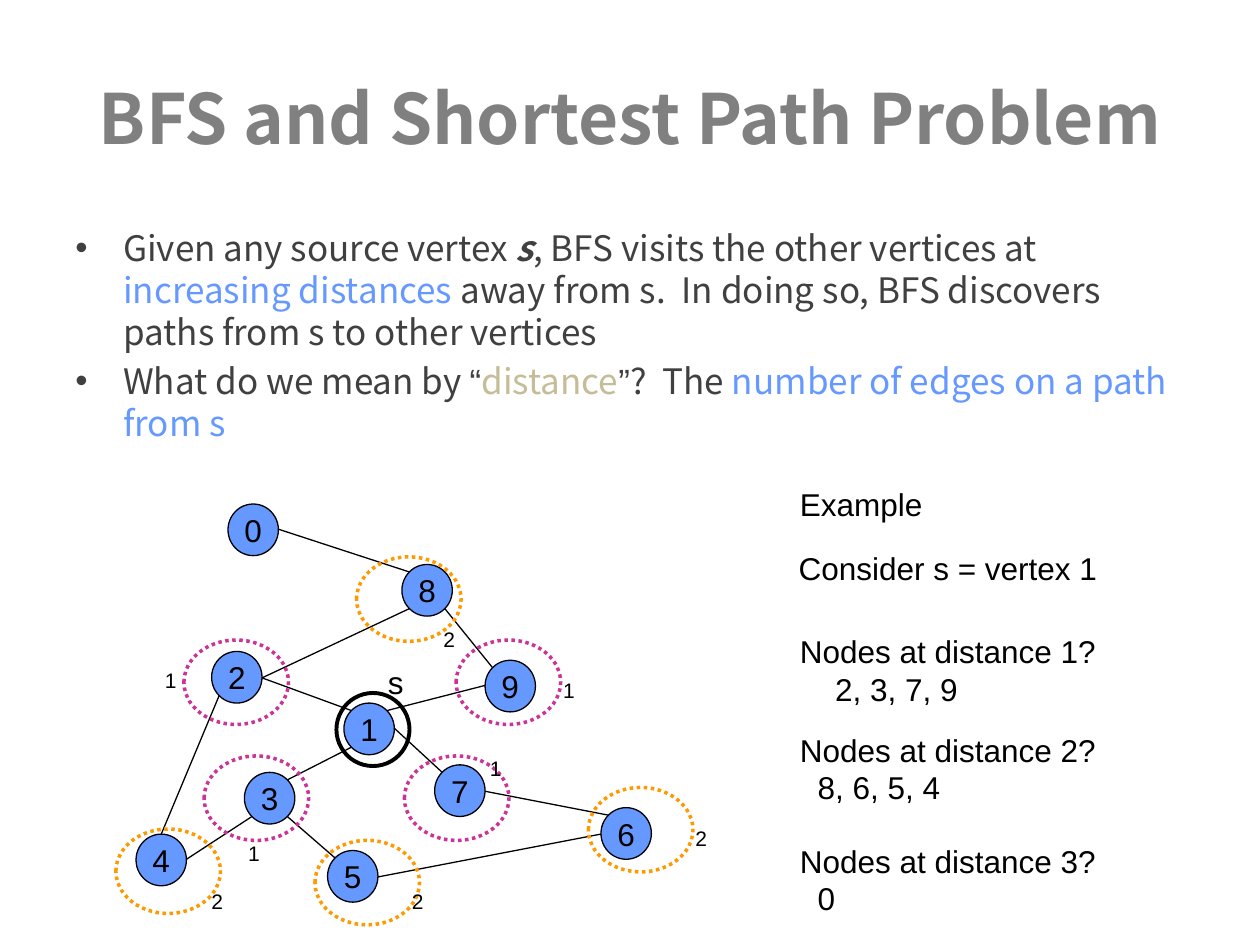
import math
from dataclasses import dataclass
from enum import IntEnum
from typing import Optional

from lxml import etree
from pptx import Presentation
from pptx import util as u
from pptx.dml.color import RGBColor
from pptx.enum import dml, shapes, text
from pptx.oxml.ns import qn

PX = 9144
HEAD_FONT, LABEL_FONT = "Noto Sans CJK SC", "Arial"
BLACK, GREY, DARK, TAN = "000000", "808080", "404040", "C4BD97"
BLUE, PINK, ORANGE = "6699FF", "CC3399", "FF9900"
NODE_W, NODE_H = 40, 41
RING_W, RING_H = 83, 67


class Side(IntEnum):
    E = 0
    SE = 45
    N = 270
    NE = 315
    SW = 135
    W = 180
    NW = 225


@dataclass
class Run:
    text: str
    color: str = BLACK
    size: float = 18
    font: str = LABEL_FONT
    bold: bool = False
    italic: bool = False


@dataclass
class Node:
    x: int
    y: int

    def site(self, side: Side) -> tuple[int, int]:
        a = math.radians(side)
        return (round(self.x + NODE_W / 2 * (1 + math.cos(a))),
                round(self.y + NODE_H / 2 * (1 + math.sin(a))))


@dataclass
class Edge:
    start: int
    start_side: Side
    end: int
    end_side: Side


@dataclass
class Level:
    distance: str
    color: str
    rings: list[tuple[int, int]]
    labels: list[tuple[int, int]]


@dataclass
class Note:
    x: int
    y: int
    w: int
    h: int
    question: str
    answer: str = ""
    indent: int = 0


NODES = {
    2: Node(168, 517), 4: Node(108, 662), 3: Node(194, 613), 5: Node(260, 675),
    1: Node(273, 558), 7: Node(345, 607), 6: Node(477, 641), 9: Node(385, 524),
    8: Node(319, 448), 0: Node(181, 400),
}
EDGES = [
    Edge(0, Side.E, 8, Side.NW), Edge(8, Side.SE, 9, Side.NW),
    Edge(9, Side.W, 1, Side.NE), Edge(8, Side.SW, 2, Side.E),
    Edge(2, Side.E, 1, Side.NW), Edge(2, Side.SW, 4, Side.N),
    Edge(4, Side.E, 3, Side.SW), Edge(3, Side.NE, 1, Side.SW),
    Edge(3, Side.SE, 5, Side.NW), Edge(5, Side.E, 6, Side.W),
    Edge(1, Side.E, 7, Side.NW), Edge(7, Side.E, 6, Side.NW),
]
LEVELS = [
    Level("1", PINK, [(146, 508), (162, 600), (321, 600), (362, 508)],
          [(437, 533), (379, 595), (121, 525), (187, 662)]),
    Level("2", ORANGE, [(283, 442), (92, 658), (250, 667), (467, 625)],
          [(542, 650), (317, 700), (158, 700), (342, 492)]),
]
NOTES = [
    Note(625, 380, 117, 40, "Example"),
    Note(624, 431, 259, 40, "Consider s = vertex 1"),
    Note(625, 497, 255, 70, "Nodes at distance 1?", "2, 3, 7, 9", 28),
    Note(625, 575, 255, 70, "Nodes at distance 2?", "8, 6, 5, 4", 14),
    Note(625, 663, 255, 70, "Nodes at distance 3?", "0", 14),
]


def body(words: str, color: str = DARK, **style) -> Run:
    return Run(words, color, 20, **{"font": HEAD_FONT, **style})


BULLETS = [
    [body("Given any source vertex "), body("s", bold=True, italic=True),
     body(", BFS visits the other vertices at"), body(" increasing distances", BLUE),
     body(" away from s.  In doing so, BFS discovers paths from s to other vertices")],
    [body("What do we mean by "), body("“", font=LABEL_FONT), body("distance", TAN),
     body("”", font=LABEL_FONT), body("?  The "),
     body("number of edges on a path from s", BLUE)],
]


def rgb(color: str) -> RGBColor:
    return RGBColor.from_string(color)


def px(*lengths: int) -> list[u.Emu]:
    return [u.Emu(n * PX) for n in lengths]


def add_runs(p, runs: list[Run]) -> None:
    for run in runs:
        r = p.add_run()
        r.text = run.text
        f = r.font
        f.name, f.size, f.bold, f.italic = run.font, u.Pt(run.size), run.bold, run.italic
        f.color.rgb = rgb(run.color)
        etree.SubElement(r._r.get_or_add_rPr(), qn("a:ea")).set("typeface", run.font)


def set_indent(p, left: int, first: int = 0, bullet: str = "") -> None:
    pPr = p._p.get_or_add_pPr()
    pPr.set("marL", str(left * PX))
    pPr.set("indent", str(first * PX))
    if bullet:
        etree.SubElement(pPr, qn("a:buFont")).set("typeface", LABEL_FONT)
        etree.SubElement(pPr, qn("a:buChar")).set("char", bullet)


def add_text(s, x: int, y: int, w: int, h: int, paragraphs: list[list[Run]],
             wrap: bool = False):
    tf = s.shapes.add_textbox(*px(x, y, w, h)).text_frame
    tf.word_wrap = wrap
    for i, runs in enumerate(paragraphs):
        add_runs(tf.add_paragraph() if i else tf.paragraphs[0], runs)
    return tf


def add_ellipse(s, x: int, y: int, w: int, h: int, line: str, width: float,
                fill: Optional[str] = None, dotted: bool = False):
    sp = s.shapes.add_shape(shapes.MSO_SHAPE.OVAL, *px(x, y, w, h))
    sp.shadow.inherit = False
    if fill:
        sp.fill.solid()
        sp.fill.fore_color.rgb = rgb(fill)
    else:
        sp.fill.background()
    sp.line.color.rgb = rgb(line)
    sp.line.width = u.Pt(width)
    if dotted:
        sp.line.dash_style = dml.MSO_LINE.ROUND_DOT
    return sp


def add_node(s, number: int, node: Node) -> None:
    tf = add_ellipse(s, node.x, node.y, NODE_W, NODE_H, BLACK, 0.75, BLUE).text_frame
    tf.word_wrap = False
    tf.vertical_anchor = text.MSO_ANCHOR.MIDDLE
    p = tf.paragraphs[0]
    p.alignment = text.PP_ALIGN.CENTER
    add_runs(p, [Run(str(number))])


def add_edge(s, edge: Edge) -> None:
    start = NODES[edge.start].site(edge.start_side)
    end = NODES[edge.end].site(edge.end_side)
    line = s.shapes.add_connector(shapes.MSO_CONNECTOR.STRAIGHT, *px(*start, *end))
    line.line.color.rgb = rgb(BLACK)
    line.line.width = u.Pt(0.75)
    etree.SubElement(line._element.spPr, qn("a:effectLst"))


def add_level(s, level: Level) -> None:
    for x, y in level.rings:
        add_ellipse(s, x, y, RING_W, RING_H, level.color, 2, dotted=True)
    for x, y in level.labels:
        add_text(s, x, y, 29, 30, [[Run(level.distance, size=12)]])


def add_note(s, note: Note) -> None:
    lines = [[Run(t)] for t in (note.question, note.answer) if t]
    tf = add_text(s, note.x, note.y, note.w, note.h, lines)
    if note.answer:
        set_indent(tf.paragraphs[1], note.indent)


def main() -> None:
    prs = Presentation()
    prs.slide_width, prs.slide_height = px(1000, 750)
    s = prs.slides.add_slide(prs.slide_layouts[6])

    title = [Run("BFS and Shortest Path Problem", GREY, 39.6, HEAD_FONT, bold=True)]
    tf = add_text(s, 50, 30, 900, 125, [title], wrap=True)
    tf.vertical_anchor = text.MSO_ANCHOR.MIDDLE
    tf.paragraphs[0].alignment = text.PP_ALIGN.CENTER

    tf = add_text(s, 50, 175, 900, 495, BULLETS, wrap=True)
    for p in tf.paragraphs:
        set_indent(p, 38, -38, "•")
    tf.paragraphs[1].space_before = u.Pt(4)

    for number, node in NODES.items():
        add_node(s, number, node)
    for edge in EDGES:
        add_edge(s, edge)
    for level in LEVELS:
        add_level(s, level)
    add_ellipse(s, 267, 550, 58, 58, BLACK, 2.25)
    add_text(s, 298, 521, 33, 40, [[Run("s")]])
    for note in NOTES:
        add_note(s, note)
    prs.save("out.pptx")


if __name__ == "__main__":
    main()
